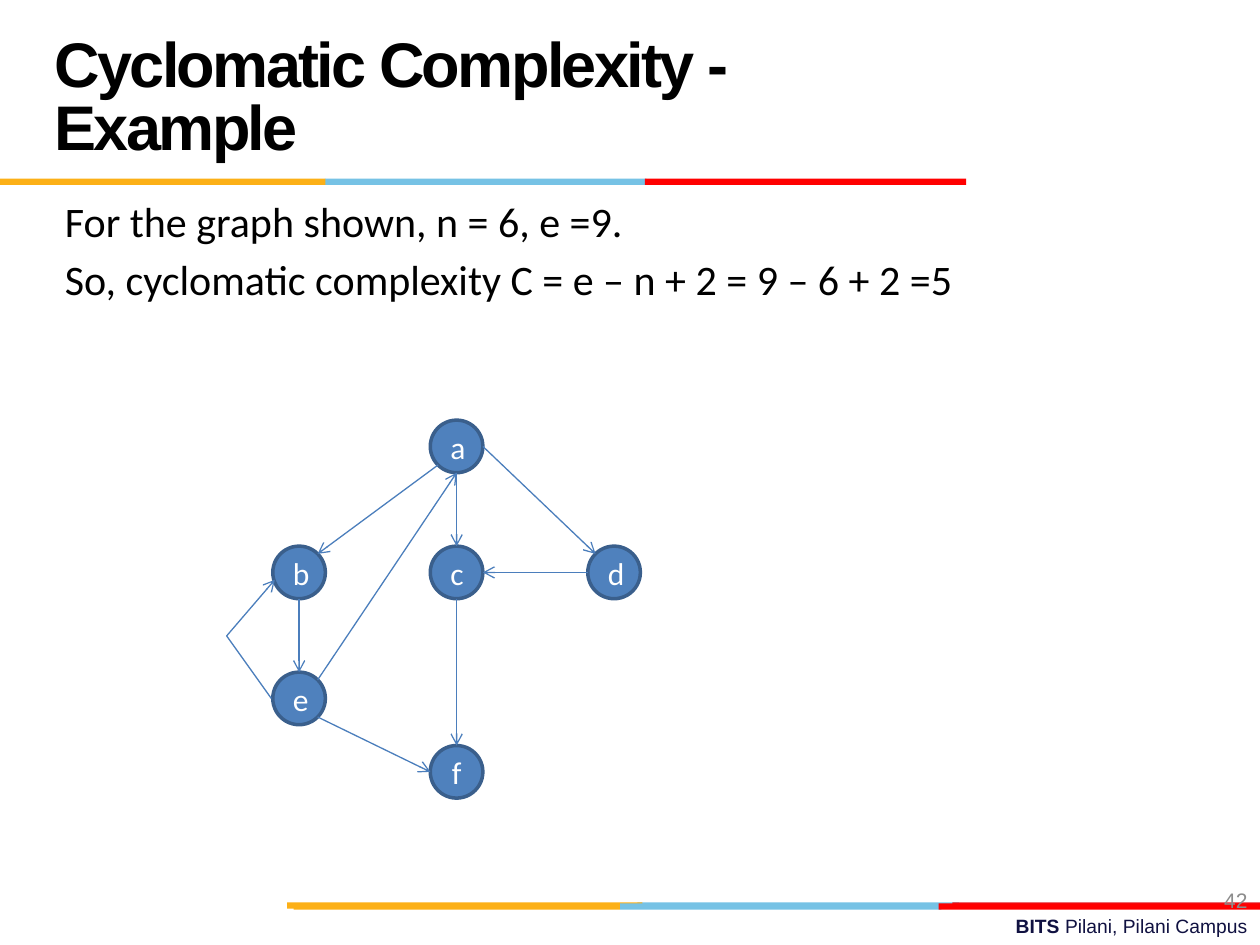
from math import cos, radians, sin

from lxml import etree
from pptx import Presentation
from pptx import util as u
from pptx.dml.color import RGBColor
from pptx.enum import shapes, text
from pptx.oxml.ns import qn

THEME = {
    "ink": "000000", "campus": "101141", "number": "8C8C8C",
    "yellow": "FCB017", "blue": "76C2E5", "red": "FF0000", "crimson": "E31C24",
    "node": "4F81BD", "rim": "3A5F8C", "edge": "4B7EBC", "label": "FFFFFF",
    "title_size": 36, "body_size": 24, "node_size": 18, "number_size": 12, "campus_size": 11,
    "heading_font": "Arial", "body_font": "Calibri",
}

TITLE = "Cyclomatic Complexity - Example"
BODY = [
    "For the graph shown, n = 6, e =9.",
    "So, cyclomatic complexity C = e – n + 2 = 9 – 6 + 2 =5",
]
CAMPUS = [("BITS ", True), ("Pilani, Pilani Campus", False)]
SLIDE_NUMBER = "42"

STRIPES = [
    (18.19, [("blue", 12.85, 6.48), ("crimson", 19.2, 6.2), ("yellow", 5.79, 7.16)]),
    (18.21, [("blue", 12.5, 6.48), ("yellow", 5.92, 6.58), ("red", 18.92, 6.48)]),
    (3.6, [("blue", 6.55, 6.48), ("yellow", 0, 6.56), ("red", 13.0, 6.48)]),
]
STRIPE_HEIGHT = 0.13

COLUMNS = [6.03 + 3.175 * i for i in range(3)]
ROWS = [9.0, 11.54, 14.08, 15.56]
DIAMETER = 1.06
NODES = {"a": (1, 0), "b": (0, 1), "e": (0, 2), "c": (1, 1), "d": (2, 1), "f": (1, 3)}

ANGLES = {"right": 0, "lower right": 45, "bottom": 90, "lower left": 135,
          "left": 180, "upper left": 225, "top": 270, "upper right": 315}
EDGES = [
    ("a", "lower left", "b", "upper right"),
    ("b", "bottom", "e", "top"),
    ("e", "upper right", "a", "bottom"),
    ("a", "bottom", "c", "top"),
    ("c", "bottom", "f", "top"),
    ("a", "right", "d", "upper left"),
    ("d", "left", "c", "right"),
    ("e", "lower right", "f", "left"),
]
LOOP = [(5.47, 14.08), (4.57, 12.82), (5.54, 11.69)]


def color(key):
    return RGBColor.from_string(THEME[key])


def style(run, size, ink, font, bold=False):
    run.font.size = u.Pt(THEME[size])
    run.font.name = THEME[font]
    run.font.color.rgb = color(ink)
    run.font.bold = bold


def add_text(slide, box, anchor=text.MSO_ANCHOR.TOP):
    frame = slide.shapes.add_textbox(*map(u.Cm, box)).text_frame
    frame.word_wrap = True
    frame.vertical_anchor = anchor
    return frame


def add_filled(slide, kind, box, fill):
    shape = slide.shapes.add_shape(kind, *map(u.Cm, box))
    shape.shadow.inherit = False
    shape.fill.solid()
    shape.fill.fore_color.rgb = color(fill)
    shape.line.fill.background()
    return shape


def add_arrowhead(edge):
    edge.line.color.rgb = color("edge")
    edge.line.width = u.Pt(0.75)
    etree.SubElement(edge.line._get_or_add_ln(), qn("a:tailEnd"), type="arrow")


def rim_point(name, side):
    column, row = NODES[name]
    angle = radians(ANGLES[side])
    return (u.Cm(COLUMNS[column] + DIAMETER / 2 * cos(angle)),
            u.Cm(ROWS[row] + DIAMETER / 2 * sin(angle)))


def add_campus(slide):
    line = add_text(slide, (9.09, 18.31, 16.31, 0.73)).paragraphs[0]
    line.alignment = text.PP_ALIGN.RIGHT
    for words, bold in CAMPUS:
        run = line.add_run()
        run.text = words
        style(run, "campus_size", "campus", "heading_font", bold)


def add_stripes(slide):
    for top, bands in STRIPES:
        for fill, left, width in bands:
            add_filled(slide, shapes.MSO_SHAPE.RECTANGLE, (left, top, width, STRIPE_HEIGHT), fill)


def add_body(slide):
    frame = add_text(slide, (1.06, 3.81, 23.5, 3.38))
    frame.text = "\n".join(BODY)
    for i, line in enumerate(frame.paragraphs):
        properties = line._p.get_or_add_pPr()
        properties.set("marL", str(u.Cm(0.95)))
        properties.set("indent", str(-u.Cm(0.95)))
        if i:
            line.space_before = u.Pt(4.8)
        style(line.runs[0], "body_size", "ink", "body_font")


def add_title(slide):
    frame = add_text(slide, (0.85, 0.42, 17.57, 3.18), text.MSO_ANCHOR.MIDDLE)
    frame.text = TITLE
    heading = frame.paragraphs[0]
    heading.line_spacing = u.Pt(36)
    style(heading.runs[0], "title_size", "ink", "heading_font", True)
    heading.runs[0]._r.get_or_add_rPr().set("spc", "-150")


def add_number(slide):
    frame = add_text(slide, (19.47, 17.65, 5.93, 1.01), text.MSO_ANCHOR.MIDDLE)
    frame.text = SLIDE_NUMBER
    frame.paragraphs[0].alignment = text.PP_ALIGN.RIGHT
    style(frame.paragraphs[0].runs[0], "number_size", "number", "heading_font")


def add_graph(slide):
    for name, (column, row) in NODES.items():
        box = (COLUMNS[column] - DIAMETER / 2, ROWS[row] - DIAMETER / 2, DIAMETER, DIAMETER)
        node = add_filled(slide, shapes.MSO_SHAPE.OVAL, box, "node")
        node.line.color.rgb = color("rim")
        node.line.width = u.Pt(2)
        node.text_frame.text = name
        node.text_frame.vertical_anchor = text.MSO_ANCHOR.MIDDLE
        node.text_frame.paragraphs[0].alignment = text.PP_ALIGN.CENTER
        style(node.text_frame.paragraphs[0].runs[0], "node_size", "label", "body_font")

    for source, leaving, target, entering in EDGES:
        edge = slide.shapes.add_connector(
            shapes.MSO_CONNECTOR.STRAIGHT, *rim_point(source, leaving), *rim_point(target, entering))
        add_arrowhead(edge)
        etree.SubElement(edge._element.spPr, qn("a:effectLst"))

    start, *rest = [tuple(map(u.Cm, point)) for point in LOOP]
    builder = slide.shapes.build_freeform(*start)
    builder.add_line_segments(rest, close=False)
    loop = builder.convert_to_shape()
    loop.shadow.inherit = False
    loop.fill.background()
    add_arrowhead(loop)


def main():
    deck = Presentation()
    deck.slide_width, deck.slide_height = u.Cm(25.4), u.Cm(19.05)
    slide = deck.slides.add_slide(deck.slide_layouts[6])
    for add_part in (add_campus, add_stripes, add_body, add_title, add_number, add_graph):
        add_part(slide)
    deck.save("out.pptx")


if __name__ == "__main__":
    main()
